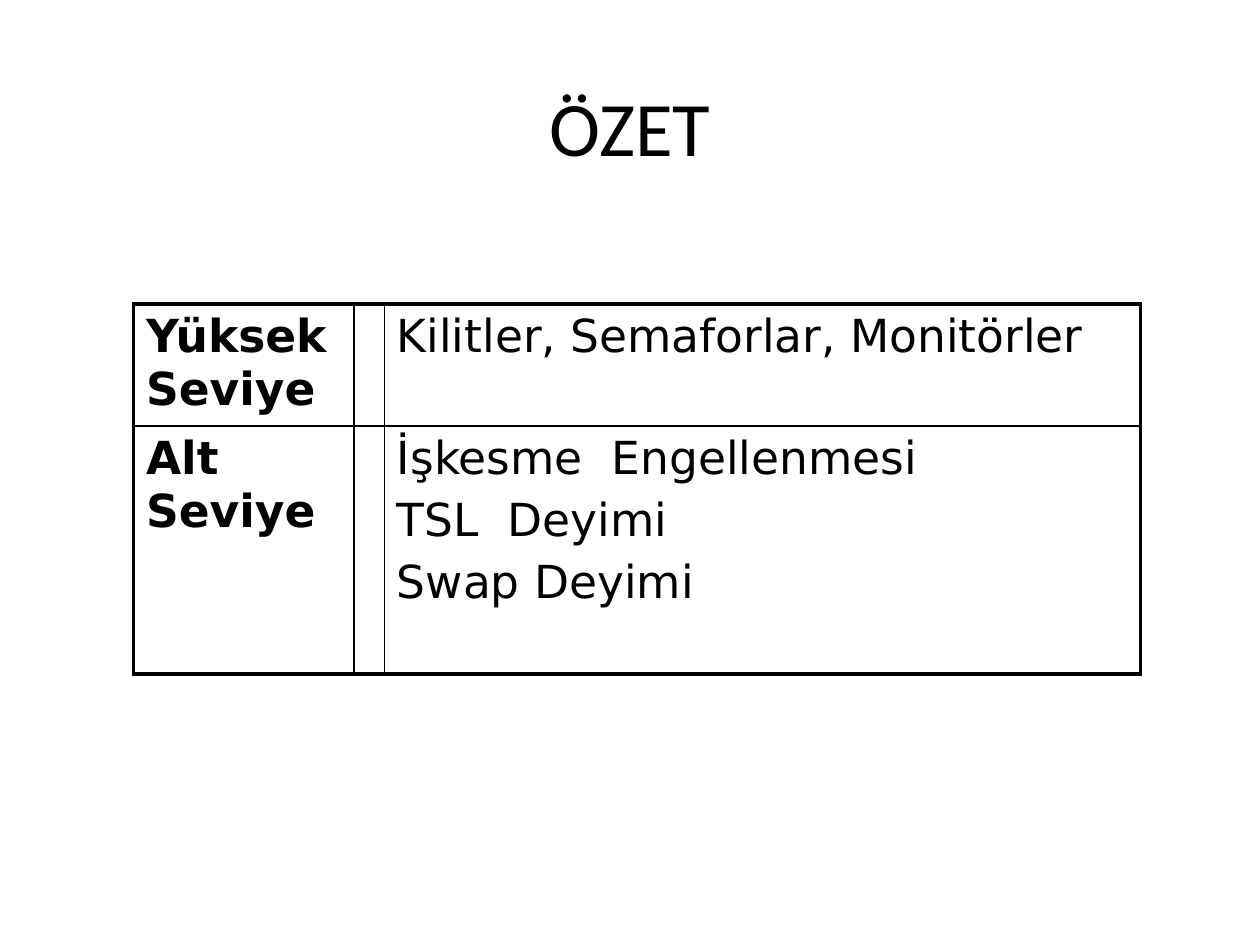
from dataclasses import dataclass

from lxml.etree import SubElement
from pptx import Presentation
from pptx.dml.color import RGBColor
from pptx.enum.text import MSO_ANCHOR, PP_ALIGN
from pptx.oxml.ns import qn
from pptx.util import Cm, Pt


@dataclass(frozen=True)
class Theme:
    ink: str = "000000"
    title_font: str = "Calibri"
    body_font: str = "DejaVu Sans"
    title_size: float = 44
    body_size: float = 26
    paragraph_gap: float = 5.2
    outer_line: float = 2.25
    inner_line: float = 1


THEME = Theme()
COLUMN_WIDTHS = [4.45, 0.58, 15.24]
ROW_HEIGHTS = [2.46, 5]
LEVELS = [
    ("Yüksek Seviye", ["Kilitler, Semaforlar, Monitörler"]),
    ("Alt Seviye", ["İşkesme  Engellenmesi", "TSL  Deyimi", "Swap Deyimi"]),
]


def style_font(para, name, size, bold=False):
    para.font.name = name
    para.font.size = Pt(size)
    para.font.bold = bold
    para.font.color.rgb = RGBColor.from_string(THEME.ink)


def add_title(page, left, top, width, height, text):
    box = page.shapes.add_textbox(Cm(left), Cm(top), Cm(width), Cm(height))
    frame = box.text_frame
    frame.word_wrap = True
    frame.vertical_anchor = MSO_ANCHOR.MIDDLE
    para = frame.paragraphs[0]
    para.text = text
    para.alignment = PP_ALIGN.CENTER
    style_font(para, THEME.title_font, THEME.title_size)


def set_borders(cell, outer_sides):
    """Draw all four sides, heavier where the cell meets the table edge."""
    properties = cell._tc.get_or_add_tcPr()
    for side in "LRTB":
        weight = THEME.outer_line if side in outer_sides else THEME.inner_line
        line = SubElement(properties, qn(f"a:ln{side}"), w=str(Pt(weight)))
        fill = SubElement(line, qn("a:solidFill"))
        SubElement(fill, qn("a:srgbClr"), val=THEME.ink)


def fill_cell(cell, lines, bold):
    frame = cell.text_frame
    for index, line in enumerate(lines):
        para = frame.add_paragraph() if index else frame.paragraphs[0]
        para.text = line
        if index:
            para.space_before = Pt(THEME.paragraph_gap)
        style_font(para, THEME.body_font, THEME.body_size, bold)


def add_levels_table(page, left, top, levels):
    rows, columns = len(ROW_HEIGHTS), len(COLUMN_WIDTHS)
    table = page.shapes.add_table(
        rows, columns, Cm(left), Cm(top),
        Cm(sum(COLUMN_WIDTHS)), Cm(sum(ROW_HEIGHTS)),
    ).table
    table.first_row = table.horz_banding = False
    for column, width in zip(table.columns, COLUMN_WIDTHS):
        column.width = Cm(width)
    for row, height in zip(table.rows, ROW_HEIGHTS):
        row.height = Cm(height)

    # Level name, narrow spacer, mechanisms
    for row, (level, mechanisms) in enumerate(levels):
        fill_cell(table.cell(row, 0), [level], bold=True)
        fill_cell(table.cell(row, 2), mechanisms, bold=False)
        for column in range(columns):
            edges = {"L": column == 0, "R": column == columns - 1,
                     "T": row == 0, "B": row == rows - 1}
            cell = table.cell(row, column)
            set_borders(cell, [side for side, outer in edges.items() if outer])
            cell.fill.background()


def main():
    deck = Presentation()
    deck.slide_width, deck.slide_height = Cm(25.4), Cm(19.05)
    page = deck.slides.add_slide(deck.slide_layouts[6])
    add_title(page, 1.59, 0.83, 22.23, 3.39, "ÖZET")
    add_levels_table(page, 2.69, 6.13, LEVELS)
    deck.save("out.pptx")


if __name__ == "__main__":
    main()
